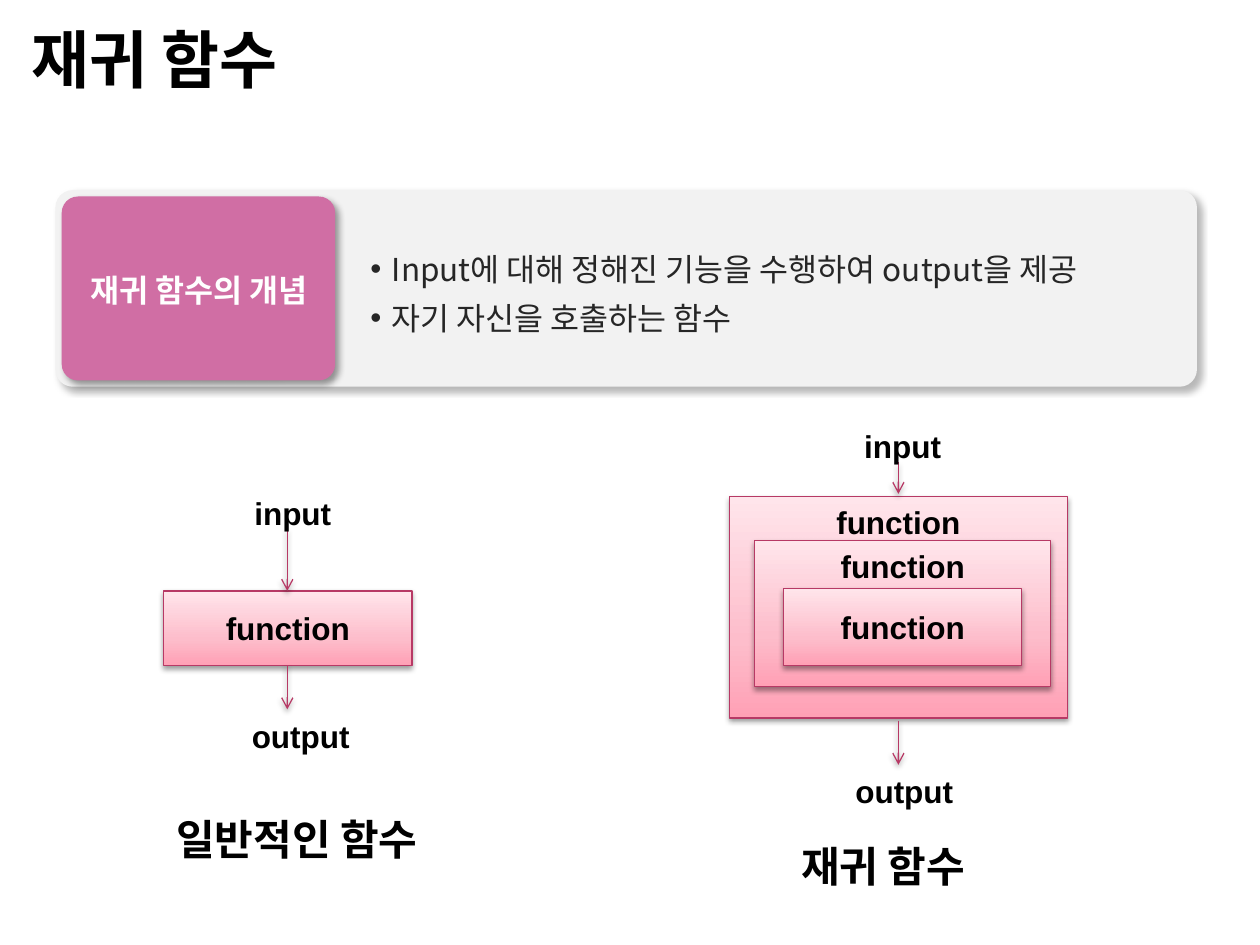
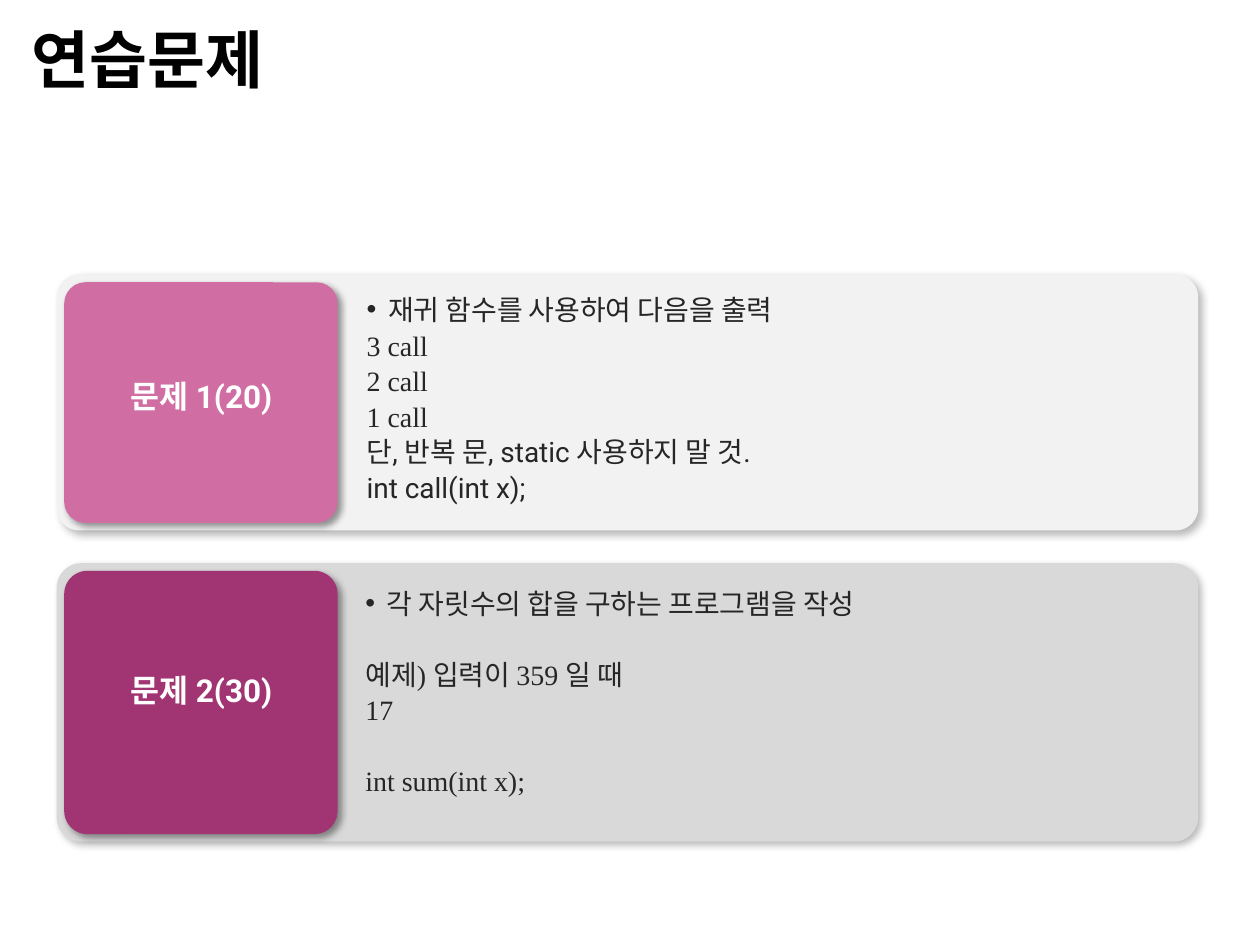
from pptx import Presentation
from pptx.dml.color import RGBColor
from pptx.enum.shapes import MSO_CONNECTOR, MSO_SHAPE
from pptx.enum.text import MSO_ANCHOR, MSO_AUTO_SIZE, PP_ALIGN
from pptx.oxml import parse_xml
from pptx.oxml.ns import nsdecls, qn
from pptx.util import Inches, Pt

BLACK = RGBColor(0x00, 0x00, 0x00)
WHITE = RGBColor(0xFF, 0xFF, 0xFF)
INK = RGBColor(0x26, 0x26, 0x26)
PALE = RGBColor(0xF2, 0xF2, 0xF2)
GRAY = RGBColor(0xD9, 0xD9, 0xD9)
PINK = RGBColor(0xD0, 0x6E, 0xA4)
PLUM = RGBColor(0xA1, 0x35, 0x73)
ROSE = RGBColor(0xB7, 0x39, 0x65)
BLUSH = [(0, RGBColor(0xFF, 0xA0, 0xB5)), (35, RGBColor(0xFD, 0xBD, 0xCB)),
         (100, RGBColor(0xFF, 0xE5, 0xEB))]

LEFT, CENTER = PP_ALIGN.LEFT, PP_ALIGN.CENTER
TOP, MIDDLE = MSO_ANCHOR.TOP, MSO_ANCHOR.MIDDLE
ROUND, RECT = MSO_SHAPE.ROUNDED_RECTANGLE, MSO_SHAPE.RECTANGLE
STRAIGHT, FIXED = MSO_CONNECTOR.STRAIGHT, MSO_AUTO_SIZE.NONE

NOTO, ROBOTO, TIMES, ARIAL = "Noto Sans CJK KR", "Roboto", "Times New Roman", "Arial"
HEAD = {"size": Pt(36), "bold": True}
LABEL = {"size": Pt(18), "bold": True, "color": WHITE}
WORD = {"size": Pt(18), "bold": True, "name": ARIAL}
NAME = {**WORD, "size": Pt(24)}

CARD_SHADE = (27, 4, 3, 45)
TAB_SHADE = (40, 4, 3, 45)
BOX_SHADE = (38, 3.1, 1.6, 90)
TITLE_AT = (0.15, 0.12, 9, 0.69)

SLIDES = [
    {"title": "재귀 함수", "font": NOTO, "layout": 1, "cards": [
        {"at": (0.44, 1.51, 9.06, 1.56), "edge": 0.05, "fill": PALE, "tab": PINK,
         "label": "재귀 함수의 개념", "spot": (0.53, 2.1, 2.1, 0.4),
         "list": (2.84, 1.86, 6.5, 0.87), "size": 18, "pitch": 27,
         "lines": [("Input에 대해 정해진 기능을 수행하여 output을 제공", NOTO, True, 1),
                   ("자기 자신을 호출하는 함수", NOTO, True, 1)]}]},
    {"title": "연습문제", "font": ROBOTO, "layout": 3, "cards": [
        {"at": (0.45, 2.18, 9.06, 2.03), "edge": 0.06, "fill": PALE, "tab": PINK,
         "label": "문제 1(20)", "spot": (0.86, 2.94, 1.48, 0.52),
         "list": (2.81, 2.27, 6.66, 1.79), "size": 16, "pitch": 19.3,
         "lines": [("재귀 함수를 사용하여 다음을 출력", ROBOTO, True, 1),
                   ("3 call", TIMES, False, 1),
                   ("2 call", TIMES, False, 1),
                   ("1 call", TIMES, False, 1),
                   ("단, 반복 문, static 사용하지 말 것.", ROBOTO, False, 1),
                   ("int call(int x);", ROBOTO, False, 1)]},
        {"at": (0.45, 4.47, 9.06, 2.21), "edge": 0.06, "fill": GRAY, "tab": PLUM,
         "label": "문제 2(30)", "spot": (0.86, 5.28, 1.48, 0.57),
         "list": (2.8, 4.6, 6.66, 1.79), "size": 16, "pitch": 19.3,
         "lines": [("각 자릿수의 합을 구하는 프로그램을 작성", ROBOTO, True, 1),
                   ("예제) 입력이 359 일 때", TIMES, False, 21.3),
                   ("17", TIMES, False, 1),
                   ("int sum(int x);", TIMES, False, 21.3)]}]},
]

BOXES = [((5.79, 3.94, 2.68, 1.76), TOP), ((5.99, 4.29, 2.35, 1.16), TOP),
         ((6.22, 4.67, 1.89, 0.61), MIDDLE), ((1.3, 4.69, 1.97, 0.59), MIDDLE)]
ARROWS = [(2.28, 4.2, 4.69), (2.28, 5.28, 5.63), (7.13, 3.67, 3.92), (7.13, 5.72, 6.07)]
WORDS = [("input", (1.92, 3.87, 0.82, 0.4), WORD),
         ("output", (1.9, 5.64, 0.99, 0.4), WORD),
         ("input", (6.76, 3.34, 0.82, 0.4), WORD),
         ("output", (6.69, 6.08, 0.99, 0.4), WORD),
         ("일반적인 함수", (1.3, 6.41, 2.27, 0.5), NAME),
         ("재귀 함수", (6.26, 6.62, 1.61, 0.5), NAME)]


def inch(at):
    return [Inches(v) for v in at]


def place(shape, at):
    for key, val in zip(("left", "top", "width", "height"), inch(at)):
        setattr(shape, key, val)


def write(para, text, style, align=LEFT):
    para.alignment = align
    run = para.add_run()
    run.text = text
    look = {"color": BLACK, **style}
    run.font.color.rgb = look.pop("color")
    for key, val in look.items():
        setattr(run.font, key, val)
    run.font._element.append(parse_xml(f'<a:ea {nsdecls("a")} typeface="{NOTO}"/>'))


def shade(shape, alpha, blur, dist, angle):
    shape._element.spPr.append(parse_xml(
        f'<a:effectLst {nsdecls("a")}><a:outerShdw blurRad="{Pt(blur)}" '
        f'dist="{Pt(dist)}" dir="{angle * 60000}" algn="tl" rotWithShape="0">'
        f'<a:srgbClr val="{BLACK}"><a:alpha val="{alpha * 1000}"/></a:srgbClr>'
        '</a:outerShdw></a:effectLst>'))


def panel(slide, at, fill, shadow):
    shape = slide.shapes.add_shape(ROUND, *inch(at))
    shape.adjustments[0] = 0.088
    shape.fill.solid()
    shape.fill.fore_color.rgb = fill
    shape.line.fill.background()
    shade(shape, *shadow)


def label(slide, text, at, style, align=LEFT):
    frame = slide.shapes.add_textbox(*inch(at)).text_frame
    frame.word_wrap = False
    write(frame.paragraphs[0], text, style, align)


def bullet(para, on):
    props = para._p.get_or_add_pPr()
    props.set("marL", str(Inches(0.17 if on else 0)))
    props.set("indent", str(Inches(-0.17 if on else 0)))
    mark = ('buFont', 'typeface="Arial"'), ('buChar', 'char="•"')
    for tag, val in mark if on else [("buNone", "")]:
        props.append(parse_xml(f'<a:{tag} {nsdecls("a")} {val}/>'))


def fill_list(slide, body, card):
    place(body, card["list"])
    slide.shapes._spTree.append(body._element)
    frame = body.text_frame
    for key, val in {"auto_size": FIXED, "word_wrap": True, "vertical_anchor": TOP}.items():
        setattr(frame, key, val)
    for i, (text, font, dot, gap) in enumerate(card["lines"]):
        para = frame.add_paragraph() if i else frame.paragraphs[0]
        for key, val in {"space_before": Pt(gap), "line_spacing": Pt(card["pitch"])}.items():
            setattr(para, key, val)
        bullet(para, dot)
        write(para, text, {"size": Pt(card["size"]), "name": font, "color": INK})


def add_card(slide, body, card, font):
    x, y, w, h = card["at"]
    edge = card["edge"]
    panel(slide, card["at"], card["fill"], CARD_SHADE)
    panel(slide, (x + edge, y + edge, 2.17, h - 2 * edge), card["tab"], TAB_SHADE)
    label(slide, card["label"], card["spot"], {**LABEL, "name": font}, CENTER)
    fill_list(slide, body, card)


def outline(shape):
    shape.line.color.rgb = ROSE
    shape.line.width = Pt(0.75)
    shade(shape, *BOX_SHADE)


def add_box(slide, at, anchor):
    shape = slide.shapes.add_shape(RECT, *inch(at))
    stops = "".join(f'<a:gs pos="{pos * 1000}"><a:srgbClr val="{tone}"/></a:gs>'
                    for pos, tone in BLUSH)
    shape._element.spPr.find(qn("a:prstGeom")).addnext(parse_xml(
        f'<a:gradFill {nsdecls("a")} rotWithShape="1"><a:gsLst>{stops}</a:gsLst>'
        '<a:lin ang="16200000" scaled="0"/></a:gradFill>'))
    outline(shape)
    shape.text_frame.vertical_anchor = anchor
    write(shape.text_frame.paragraphs[0], "function", WORD, CENTER)


def add_arrow(slide, x, start, end):
    line = slide.shapes.add_connector(STRAIGHT, *inch((x, start, x, end)))
    outline(line)
    line.line._get_or_add_ln().append(
        parse_xml(f'<a:tailEnd {nsdecls("a")} type="arrow"/>'))


def draw_flow(slide):
    for at, anchor in BOXES:
        add_box(slide, at, anchor)
    for arrow in ARROWS:
        add_arrow(slide, *arrow)
    for text, at, style in WORDS:
        label(slide, text, at, style)


def add_slide(deck, page):
    slide = deck.slides.add_slide(deck.slide_layouts[page["layout"]])
    title, *bodies = slide.placeholders
    place(title, TITLE_AT)
    title.text_frame.vertical_anchor = MIDDLE
    title.text_frame.auto_size = FIXED
    write(title.text_frame.paragraphs[0], page["title"], {**HEAD, "name": page["font"]})
    for body, card in zip(bodies, page["cards"]):
        add_card(slide, body, card, page["font"])
    return slide


def main():
    deck = Presentation()
    deck.slide_width, deck.slide_height = inch((10, 7.5))
    first, _ = [add_slide(deck, page) for page in SLIDES]
    draw_flow(first)
    deck.save("out.pptx")


if __name__ == "__main__":
    main()
